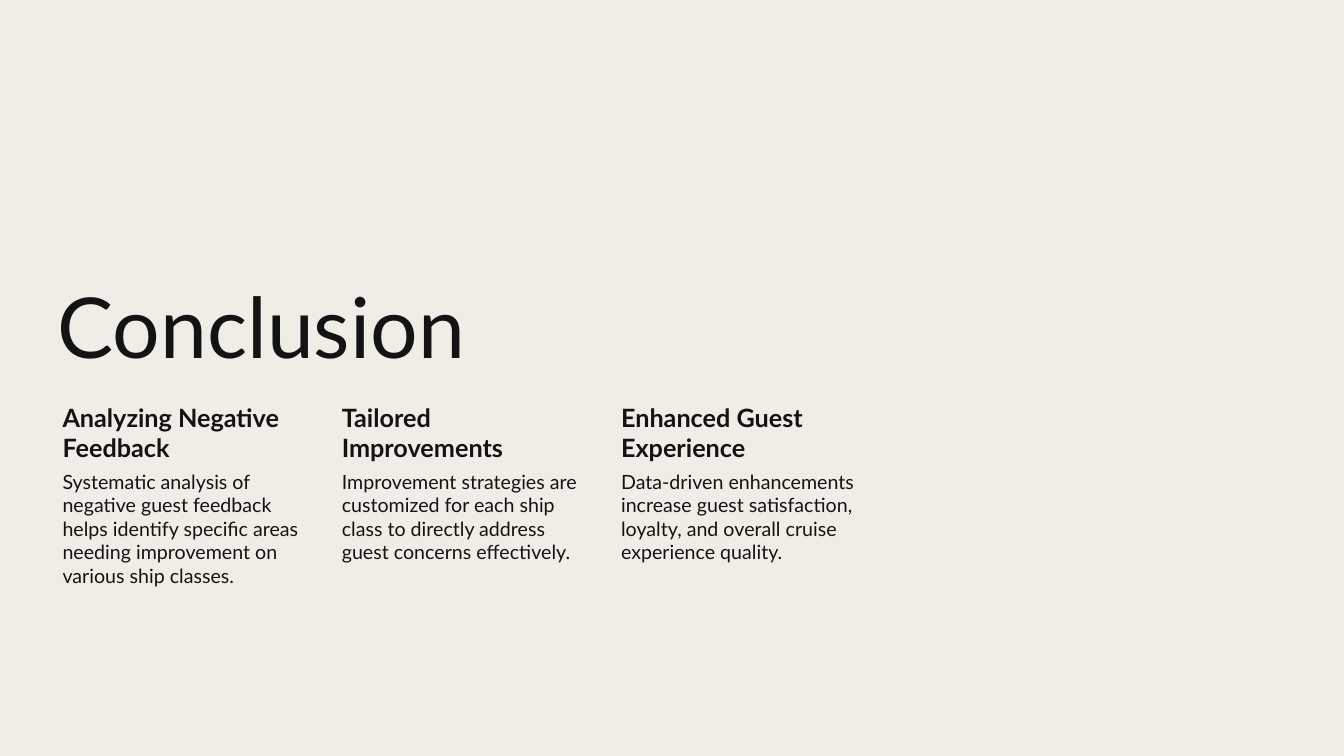
from dataclasses import dataclass

from pptx import Presentation
from pptx.dml.color import RGBColor
from pptx.enum.text import MSO_ANCHOR
from pptx.util import Inches, Pt

TOP, BOTTOM = MSO_ANCHOR.TOP, MSO_ANCHOR.BOTTOM

TITLE = "Conclusion"
TAKEAWAYS = [
    ("Analyzing Negative Feedback",
     "Systematic analysis of negative guest feedback helps identify specific "
     "areas needing improvement on various ship classes."),
    ("Tailored Improvements",
     "Improvement strategies are customized for each ship class to directly "
     "address guest concerns effectively."),
    ("Enhanced Guest Experience",
     "Data-driven enhancements increase guest satisfaction, loyalty, and "
     "overall cruise experience quality."),
]


@dataclass(frozen=True)
class Theme:
    font: str = "Lato"
    ink: RGBColor = RGBColor(0x13, 0x13, 0x13)
    paper: RGBColor = RGBColor(0xF0, 0xED, 0xE6)
    title_size: int = 60
    heading_size: int = 18
    body_size: int = 14


THEME = Theme()

# Grid in inches
PAGE_WIDTH, PAGE_HEIGHT = 13.33, 7.5
LEFT, COLUMN_WIDTH, GAP = 0.47, 2.52, 0.25
TITLE_TOP, TITLE_HEIGHT = 1.78, 2.01
HEADING_TOP, HEADING_HEIGHT, BODY_HEIGHT = 3.96, 0.68, 1.76
CONTENT_WIDTH = len(TAKEAWAYS) * (COLUMN_WIDTH + GAP) - GAP

# Insets: left, top, right, bottom
TITLE_INSETS = (0.1, 0.05, 0.1, 0.05)
HEADING_INSETS = (0.15, 0.03, 0.03, 0.03)
BODY_INSETS = (0.15, 0.02, 0.02, 0.02)


def add_text(page, text, place, insets, size, bold=False, anchor=TOP, spacing=1.0):
    box = page.shapes.add_textbox(*map(Inches, place))
    frame = box.text_frame
    frame.word_wrap = True
    frame.vertical_anchor = anchor
    for side, inset in zip(("left", "top", "right", "bottom"), insets):
        setattr(frame, f"margin_{side}", Inches(inset))
    para = frame.paragraphs[0]
    para.line_spacing = spacing
    span = para.add_run()
    span.text = text
    for name, value in {"name": THEME.font, "size": Pt(size), "bold": bold}.items():
        setattr(span.font, name, value)
    span.font.color.rgb = THEME.ink


def main():
    deck = Presentation()
    deck.slide_width, deck.slide_height = Inches(PAGE_WIDTH), Inches(PAGE_HEIGHT)
    page = deck.slides.add_slide(deck.slide_layouts[6])
    page.background.fill.solid()
    page.background.fill.fore_color.rgb = THEME.paper

    add_text(page, TITLE, (LEFT, TITLE_TOP, CONTENT_WIDTH, TITLE_HEIGHT),
             TITLE_INSETS, THEME.title_size, anchor=BOTTOM, spacing=0.9)
    for column, (heading, body) in enumerate(TAKEAWAYS):
        left = LEFT + column * (COLUMN_WIDTH + GAP)
        add_text(page, heading, (left, HEADING_TOP, COLUMN_WIDTH, HEADING_HEIGHT),
                 HEADING_INSETS, THEME.heading_size, bold=True)
        add_text(page, body,
                 (left, HEADING_TOP + HEADING_HEIGHT, COLUMN_WIDTH, BODY_HEIGHT),
                 BODY_INSETS, THEME.body_size)
    deck.save("out.pptx")


if __name__ == "__main__":
    main()
